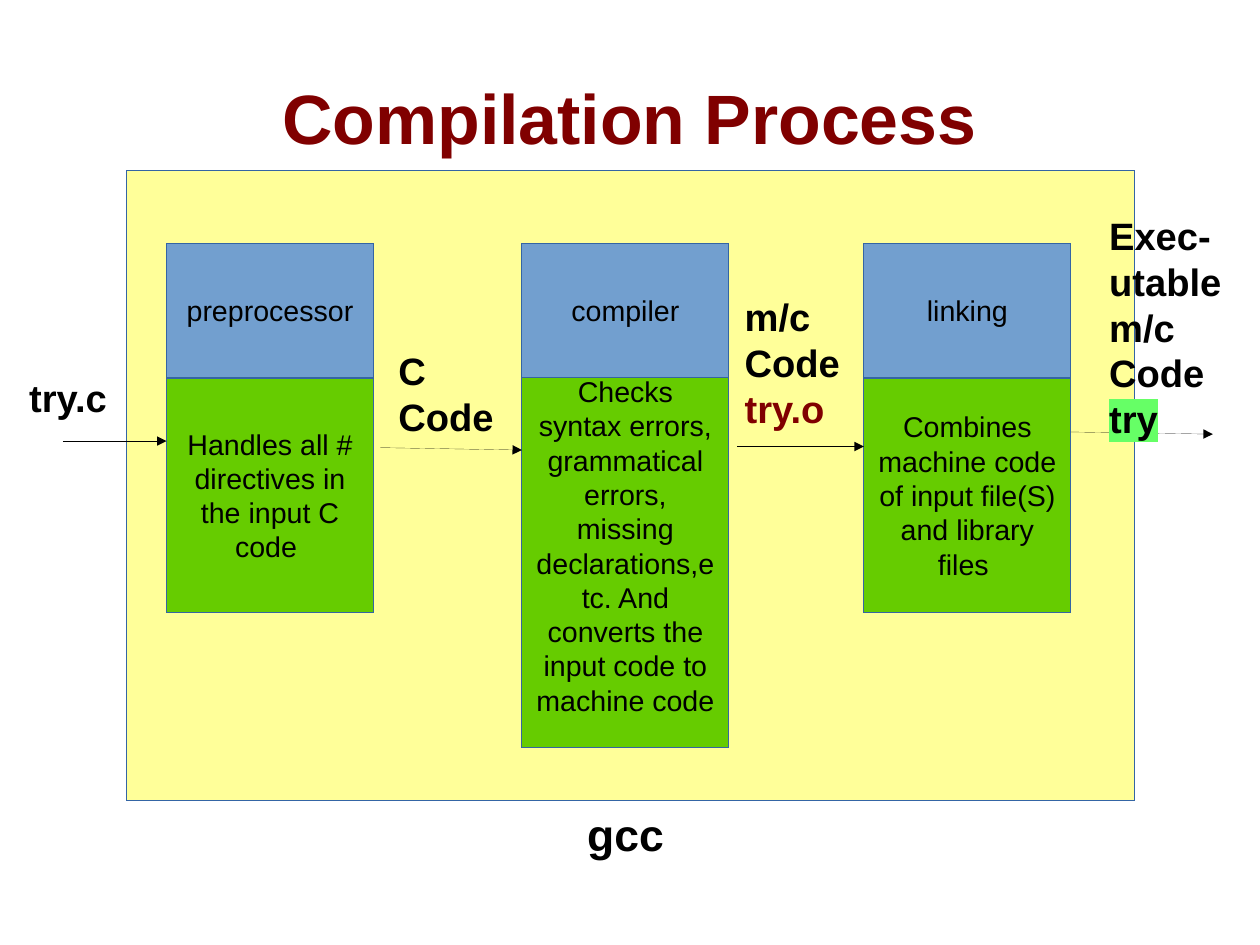
from pptx import Presentation
from pptx.dml.color import RGBColor
from pptx.enum.shapes import MSO_CONNECTOR, MSO_SHAPE
from pptx.enum.text import MSO_ANCHOR, MSO_AUTO_SIZE, PP_ALIGN
from pptx.oxml.ns import qn
from pptx.util import Pt
from lxml import etree

RECT = MSO_SHAPE.RECTANGLE
STRAIGHT = MSO_CONNECTOR.STRAIGHT
TOP, MIDDLE = MSO_ANCHOR.TOP, MSO_ANCHOR.MIDDLE
NO_FIT = MSO_AUTO_SIZE.NONE
LEFT, CENTER = PP_ALIGN.LEFT, PP_ALIGN.CENTER

BLACK = RGBColor(0x00, 0x00, 0x00)
MAROON = RGBColor(0x80, 0x00, 0x00)
YELLOW = RGBColor(0xFF, 0xFF, 0x99)
BLUE = RGBColor(0x72, 0x9F, 0xCF)
GREEN = RGBColor(0x66, 0xCC, 0x00)
OUTLINE = RGBColor(0x34, 0x65, 0xA4)
HIGHLIGHT = RGBColor(0x66, 0xFF, 0x66)

FONT = "Arial"
HAIRLINE = Pt(0.01)
STAGE_TOP, STAGE_W, HEAD_H = 153.1, 130.4, 85
STAGES = [
    (104.9, 232.5, "preprocessor", "Handles all # directives in the input C code "),
    (328.8, 317.5, "compiler",
     "Checks syntax errors, grammatical errors, missing declarations,e tc. "
     "And converts the input code to machine code "),
    (544.2, 232.5, "linking",
     "Combines machine code of input file(S) and library files "),
]
ARROWS = [
    (39.7, 277.8, 104.9, 277.8),
    (239.5, 282, 328.8, 283.5),
    (464.4, 281.3, 544.2, 281.3),
    (674.6, 272.1, 764, 273.5),
]
LABELS = [
    ((11.3, 232.4, 68, 60.5), ["try.c"]),
    ((243.8, 215.4, 85, 67.7), ["C Code"]),
    ((462, 181.4, 85, 87), ["m/c Code", "try.o"]),
    ((691.6, 130.4, 85.4, 141), ["Exec-", "utable", "m/c Code", "try"]),
]


def write(sp, lines, size, bold=False, align=CENTER, anchor=MIDDLE, color=BLACK):
    tf = sp.text_frame
    tf.text = "\n".join(lines)
    tf.word_wrap = True
    tf.auto_size = NO_FIT
    tf.vertical_anchor = anchor
    for p in tf.paragraphs:
        p.alignment = align
        font = p.runs[0].font
        font.name, font.size, font.bold = FONT, Pt(size), bold
        font.color.rgb = color
    return tf


def highlight(r, color):
    mark = etree.Element(qn("a:highlight"))
    etree.SubElement(mark, qn("a:srgbClr"), val=str(color))
    r._r.rPr.find(qn("a:solidFill")).addnext(mark)


def add_box(s, box, fill):
    sp = s.shapes.add_shape(RECT, *map(Pt, box))
    sp.shadow.inherit = False
    sp.fill.solid()
    sp.fill.fore_color.rgb = fill
    sp.line.color.rgb = OUTLINE
    sp.line.width = HAIRLINE
    return sp


def add_title(s, box):
    title = s.shapes.title
    title.left, title.top, title.width, title.height = map(Pt, box)
    tf = write(title, ["Compilation Process"], 44, bold=True, color=MAROON)
    tf.margin_left = tf.margin_right = tf.margin_top = tf.margin_bottom = 0


def add_stage(s, box, name, task):
    x, y, w, h = box
    write(add_box(s, (x, y, w, HEAD_H), BLUE), [name], 18)
    body = add_box(s, (x, y + HEAD_H, w, h - HEAD_H), GREEN)
    return write(body, [task], 18)


def add_arrow(s, x1, y1, x2, y2):
    cn = s.shapes.add_connector(STRAIGHT, Pt(x1), Pt(y1), Pt(x2), Pt(y2))
    cn.line.color.rgb = BLACK
    cn.line.width = HAIRLINE
    ln = cn._element.spPr.find(qn("a:ln"))
    etree.SubElement(ln, qn("a:tailEnd"), type="triangle")
    etree.SubElement(cn._element.spPr, qn("a:effectLst"))


def add_label(s, box, lines, size=24, align=LEFT):
    sp = s.shapes.add_textbox(*map(Pt, box))
    return write(sp, lines, size, bold=True, align=align, anchor=TOP)


def main():
    prs = Presentation()
    prs.slide_width, prs.slide_height = Pt(793.7), Pt(595.28)
    s = prs.slides.add_slide(prs.slide_layouts[5])
    add_title(s, (39.7, 23.7, 714.3, 99.4))
    add_box(s, (79.4, 107.7, 635, 396.8), YELLOW)
    bodies = [add_stage(s, (x, STAGE_TOP, STAGE_W, h), name, task)
              for x, h, name, task in STAGES]
    bodies[1].margin_bottom = Pt(25)
    for arrow in ARROWS:
        add_arrow(s, *arrow)
    labels = [add_label(s, box, lines) for box, lines in LABELS]
    labels[2].paragraphs[1].runs[0].font.color.rgb = MAROON
    highlight(labels[3].paragraphs[3].runs[0], HIGHLIGHT)
    add_label(s, (277.8, 504.6, 232.4, 38.2), ["gcc"], size=28, align=CENTER)
    prs.save("out.pptx")


if __name__ == "__main__":
    main()
